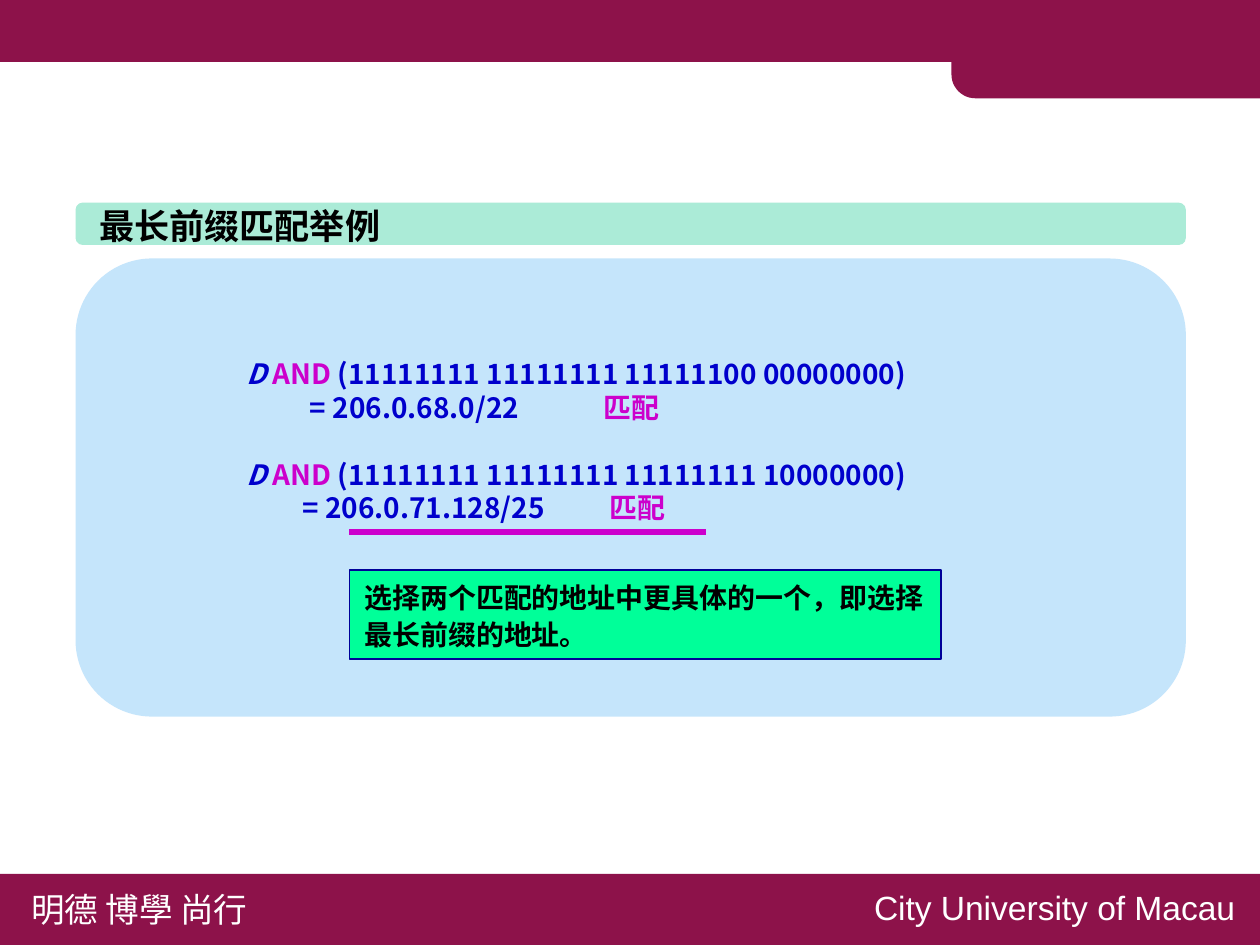
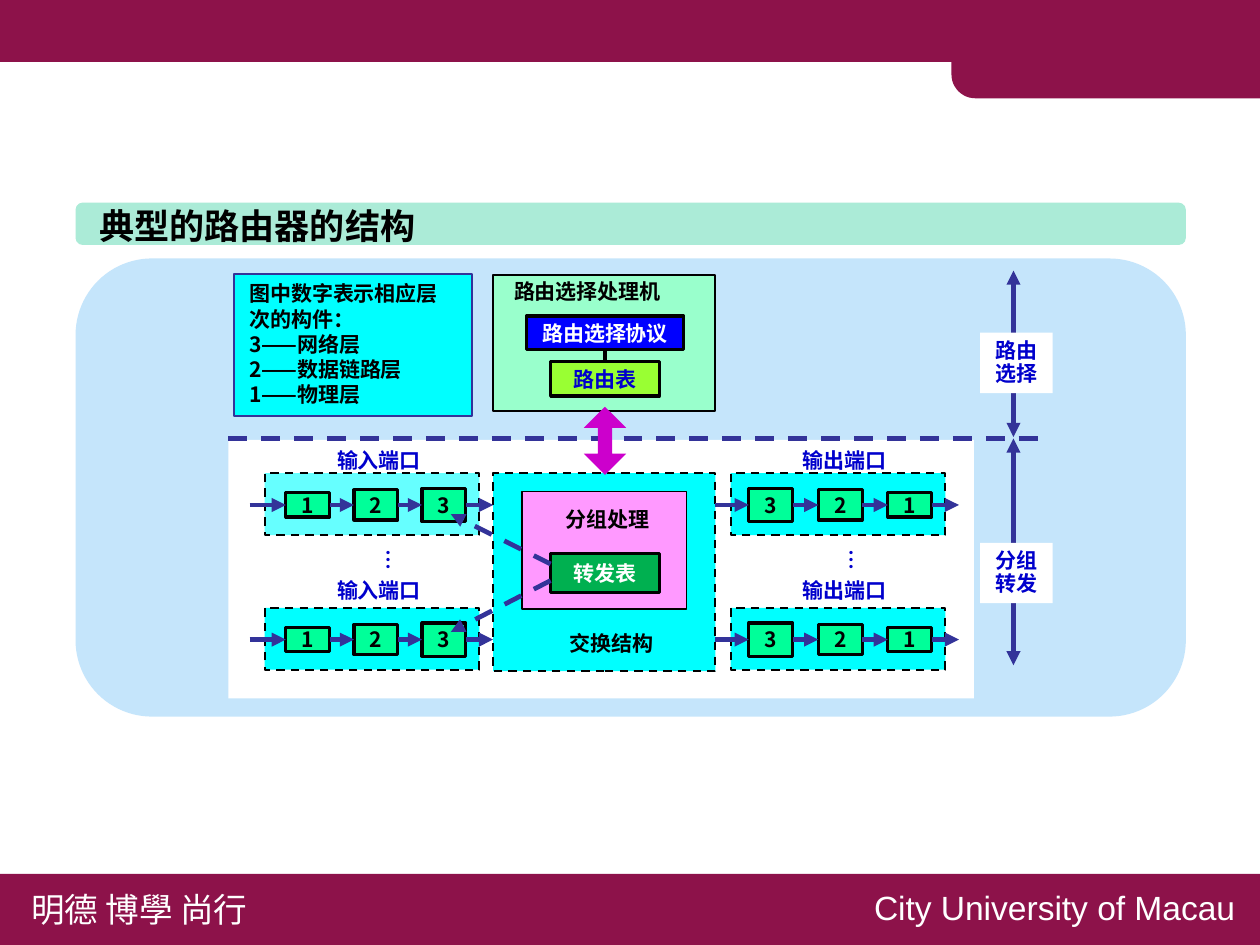
from lxml import etree
from pptx import Presentation
from pptx import util as u
from pptx.dml.color import RGBColor
from pptx.enum import dml, shapes, text
from pptx.oxml.ns import qn

PX = 9144  # EMU per px, 100 px to the inch
CJK, LATIN = "Noto Sans CJK SC", "Arial"

BLACK = RGBColor(0x00, 0x00, 0x00)
WHITE = RGBColor(0xFF, 0xFF, 0xFF)
MAROON = RGBColor(0x8D, 0x12, 0x4A)
SKY = RGBColor(0xC5, 0xE5, 0xFB)
MINT = RGBColor(0xAB, 0xEB, 0xD7)
PALE_GREEN = RGBColor(0x99, 0xFF, 0xCC)
SPRING = RGBColor(0x00, 0xFF, 0x99)
LIME = RGBColor(0x99, 0xFF, 0x33)
GREEN = RGBColor(0x00, 0xB0, 0x50)
CYAN = RGBColor(0x00, 0xFF, 0xFF)
PALE_CYAN = RGBColor(0x66, 0xFF, 0xFF)
PINK = RGBColor(0xFF, 0x99, 0xFF)
MAGENTA = RGBColor(0xCC, 0x00, 0xCC)
BLUE = RGBColor(0x00, 0x00, 0xFF)
INK = RGBColor(0x00, 0x00, 0xCC)
NAVY = RGBColor(0x00, 0x00, 0x99)
INDIGO = RGBColor(0x33, 0x33, 0x99)

RECTANGLE = shapes.MSO_SHAPE.RECTANGLE
ROUNDED = shapes.MSO_SHAPE.ROUNDED_RECTANGLE
CENTER = text.PP_ALIGN.CENTER
TOP, MIDDLE = text.MSO_ANCHOR.TOP, text.MSO_ANCHOR.MIDDLE
TOP_SITE, LEFT_SITE, BOTTOM_SITE, RIGHT_SITE = range(4)


def write(shape, *lines, size=10, color=BLACK, bold=True, font=CJK, leading=1.2,
          align=text.PP_ALIGN.LEFT, anchor=TOP, wrap=False):
    """Fill a shape; a line is a string or a list of (text, colour, italic) runs."""
    frame = shape.text_frame
    frame.word_wrap = wrap
    frame.auto_size = text.MSO_AUTO_SIZE.NONE
    frame.vertical_anchor = anchor
    for index, line in enumerate(lines):
        paragraph = frame.add_paragraph() if index else frame.paragraphs[0]
        paragraph.alignment = align
        paragraph.line_spacing = u.Pt(round(size * leading, 1))
        runs = [(line, color, False)] if isinstance(line, str) else line
        for words, run_color, italic in runs:
            run = paragraph.add_run()
            run.text = words
            run.font.size = u.Pt(size)
            run.font.bold = bold
            run.font.italic = italic
            run.font.color.rgb = run_color
            run.font.name = font
            etree.SubElement(run._r.get_or_add_rPr(), qn("a:ea"), typeface=font)


def set_tabs(paragraph, *positions):
    tabs = etree.SubElement(paragraph._p.get_or_add_pPr(), qn("a:tabLst"))
    for position in positions:
        etree.SubElement(tabs, qn("a:tab"), pos=str(position * PX), algn="l")


class Deck:
    """Holds the shared style and the slide being drawn."""

    def __init__(self):
        self.presentation = Presentation()
        self.presentation.slide_width = 833 * PX
        self.presentation.slide_height = 625 * PX
        self.slide = None

    def open_slide(self, title):
        layout = self.presentation.slide_layouts[5]
        self.slide = self.presentation.slides.add_slide(layout)
        self.box(-1, -1, 835, 42, MAROON)
        tab = self.box(629, 2, 205, 63, MAROON,
                       kind=shapes.MSO_SHAPE.ROUND_1_RECTANGLE)
        tab.rotation = 180
        tab.adjustments[0] = 0.25
        self.box(-2, 578, 836, 49, MAROON)
        footer = {"size": 16, "color": WHITE, "bold": False}
        self.label(11, 583, 168, 37, "明德 博學 尚行", **footer)
        self.label(568, 583, 262, 37, "City University of Macau",
                   font=LATIN, leading=1.15, **footer)
        self.box(50, 171, 734, 303, SKY, kind=ROUNDED)
        band = self.box(50, 134, 734, 28, MINT, kind=ROUNDED)
        heading = self.slide.shapes.title
        heading.left, heading.top = 56 * PX, 130 * PX
        heading.width, heading.height = 23 * (len(title) + 1) * PX, 38 * PX
        write(heading, title, size=16.7)
        band.element.addnext(heading.element)

    def box(self, left, top, width, height, fill, line=None, weight=1, dashed=False,
            kind=RECTANGLE):
        shape = self.slide.shapes.add_shape(
            kind, left * PX, top * PX, width * PX, height * PX)
        shape.shadow.inherit = False
        shape.fill.solid()
        shape.fill.fore_color.rgb = fill
        if line is None:
            shape.line.fill.background()
        else:
            shape.line.color.rgb = line
            shape.line.width = u.Pt(weight)
            if dashed:
                shape.line.dash_style = dml.MSO_LINE.DASH
        return shape

    def chip(self, left, top, width, height, words, fill, color=BLACK):
        """A heavy-bordered box with centred text."""
        shape = self.box(left, top, width, height, fill, BLACK, 1.5)
        write(shape, words, color=color, align=CENTER, anchor=MIDDLE)
        return shape

    def label(self, left, top, width, height, *lines, **style):
        shape = self.slide.shapes.add_textbox(
            left * PX, top * PX, width * PX, height * PX)
        write(shape, *lines, **style)
        return shape

    def connect(self, start, end, color=INDIGO, weight=2.25, dashed=False,
                head=False, tail=False):
        """Join two ends, each an (x, y) point or a (shape, site) pair."""
        start_glued, end_glued = (not isinstance(e[0], int) for e in (start, end))
        x1, y1 = (0, 0) if start_glued else start
        x2, y2 = (0, 0) if end_glued else end
        connector = self.slide.shapes.add_connector(
            shapes.MSO_CONNECTOR.STRAIGHT, x1 * PX, y1 * PX, x2 * PX, y2 * PX)
        if start_glued:
            connector.begin_connect(*start)
        if end_glued:
            connector.end_connect(*end)
        connector.line.color.rgb = color
        connector.line.width = u.Pt(weight)
        if dashed:
            connector.line.dash_style = dml.MSO_LINE.DASH
        properties = connector.element.spPr
        outline = properties.find(qn("a:ln"))
        for wanted, tag in ((head, "a:headEnd"), (tail, "a:tailEnd")):
            if wanted:
                etree.SubElement(outline, qn(tag), type="triangle")
        etree.SubElement(properties, qn("a:effectLst"))

    def port(self, left, top, name, name_top, layers, step, fill):
        """A port frame with its label and a chain of three layer chips."""
        self.box(left, top, 142, 41, fill, BLACK, dashed=True)
        middle = top + 21
        previous = (left - 10, middle)
        for index, layer in enumerate(layers):
            height = {"1": 16, "2": 20, "3": 22}[layer]
            chip = self.chip(left + 104 - step * (2 - index), middle - height // 2,
                             29, height, layer, SPRING)
            self.connect(previous, (chip, LEFT_SITE), tail=True)
            previous = (chip, RIGHT_SITE)
        self.connect(previous, (left + 151, middle), tail=True)
        self.label(left + 38, name_top, 76, 27, name, color=INK)

    def span(self, top, bottom, label_top, *lines):
        """A vertical two-headed arrow with a label over its middle."""
        self.connect((670, top), (670, bottom), head=True, tail=True)
        shape = self.box(648, label_top, 48, 40, WHITE)
        write(shape, *lines, color=INK, align=CENTER, leading=1.08)


def draw_prefix_match(deck):
    deck.open_slide("最长前缀匹配举例")
    lines = []
    for mask, network in (("11111111 11111111 11111100 00000000", "206.0.68.0/22"),
                          ("11111111 11111111 11111111 10000000", "206.0.71.128/25")):
        lines.append([("D ", INK, True), ("AND", MAGENTA, False),
                      (f" ({mask})", INK, False)])
        lines.append([(f"\t= {network}\t", INK, False), ("匹配", MAGENTA, False)])
    sums = deck.label(153, 231, 538, 122, *lines, size=13.3, wrap=True)
    paragraphs = sums.text_frame.paragraphs
    paragraphs[2].space_before = u.Pt(16)
    set_tabs(paragraphs[1], 42, 236)
    set_tabs(paragraphs[3], 37, 240)
    deck.connect((231, 352), (467, 352), color=MAGENTA, weight=3)
    result = deck.box(231, 377, 391, 59, SPRING, NAVY, 0.75)
    write(result, "选择两个匹配的地址中更具体的一个，即选择最长前缀的地址。",
          size=13.3, leading=1.32, wrap=True)


def draw_router(deck):
    deck.open_slide("典型的路由器的结构")
    deck.box(151, 291, 493, 171, WHITE)

    deck.box(326, 182, 147, 90, PALE_GREEN, BLACK)
    deck.label(330, 179, 118, 27, "路由选择处理机")
    protocol = deck.chip(348, 209, 104, 22, "路由选择协议", BLUE, WHITE)
    table = deck.chip(364, 239, 72, 23, "路由表", LIME, INK)
    deck.connect((protocol, BOTTOM_SITE), (table, TOP_SITE), color=BLACK)

    deck.box(326, 313, 147, 131, CYAN, BLACK, dashed=True)
    deck.label(367, 412, 76, 27, "交换结构")
    for top, name_top, input_fill in ((313, 291, PALE_CYAN), (402, 377, CYAN)):
        deck.port(175, top, "输入端口", name_top, "123", 45, input_fill)
        deck.port(483, top, "输出端口", name_top, "321", 46, CYAN)
    for left in (240, 546):
        deck.label(left, 357, 34, 27, "…", color=INK).rotation = 90

    deck.connect((151, 290), (692, 290), dashed=True)
    deck.span(179, 289, 220, "路由", "选择")
    deck.span(290, 440, 359, "分组", "转发")

    deck.box(345, 325, 109, 78, PINK, BLACK, 0.75)
    deck.label(364, 330, 76, 27, "分组处理")
    deck.chip(364, 366, 72, 26, "转发表", GREEN, WHITE)
    for start, end in ((373, 340), (384, 418)):
        deck.connect((364, start), (298, end), dashed=True, tail=True)

    exchange = deck.box(386, 269, 28, 45, MAGENTA,
                        kind=shapes.MSO_SHAPE.UP_DOWN_ARROW)
    exchange.adjustments[0], exchange.adjustments[1] = 0.5, 0.34
    legend = deck.box(155, 181, 157, 94, CYAN, INDIGO)
    write(legend, "图中数字表示相应层次的构件：", "3——网络层", "2——数据链路层",
          "1——物理层", wrap=True)


def main():
    deck = Deck()
    draw_prefix_match(deck)
    draw_router(deck)
    deck.presentation.save("out.pptx")


if __name__ == "__main__":
    main()
